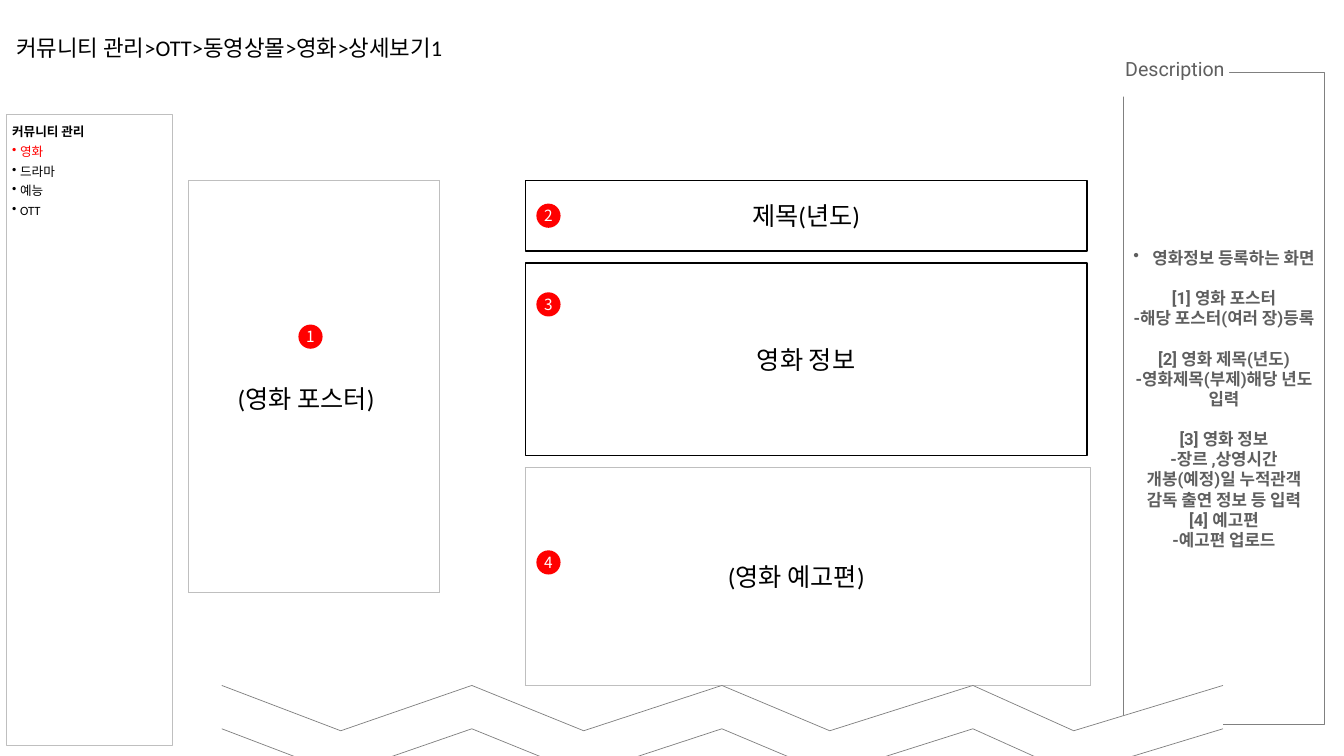
from dataclasses import dataclass
from lxml import etree
from pptx import Presentation
from pptx.dml.color import RGBColor
from pptx.enum import shapes, text
from pptx.oxml import ns
from pptx.util import Inches, Pt


@dataclass(frozen=True)
class Theme:
    black: str = "000000"
    white: str = "FFFFFF"
    red: str = "FF0000"
    pale: str = "BFBFBF"
    gray: str = "808080"
    ink: str = "5F5F5F"
    body: str = "Calibri"
    note: str = "Roboto"
    mark: str = "Noto Sans CJK KR"
    tiny: int = 9
    badge: int = 11
    small: int = 12
    label: int = 14
    head: int = 16
    large: int = 18


T = Theme()
LEFT, MID = text.PP_ALIGN.LEFT, text.PP_ALIGN.CENTER


def paint(shape, fill=None, line=None, width=0.5):
    """Set fill and outline; None leaves either one empty."""
    shape.shadow.inherit = False
    if fill:
        shape.fill.solid()
        shape.fill.fore_color.rgb = RGBColor.from_string(fill)
    else:
        shape.fill.background()
    if line:
        shape.line.color.rgb = RGBColor.from_string(line)
        shape.line.width = Pt(width)
    else:
        shape.line.fill.background()
    return shape


def write(para, words, size, font=T.body, color=T.black, bold=False, align=LEFT, dent=0):
    """Fill one paragraph; a positive dent gives it a hanging bullet."""
    para.text = words
    para.alignment = align
    if dent:
        props = para._p.get_or_add_pPr()
        props.set("marL", str(Inches(dent)))
        props.set("indent", str(-Inches(dent)))
        etree.SubElement(props, ns.qn("a:buChar")).set("char", "•")
    para.font.size, para.font.name, para.font.bold = Pt(size), font, bold
    para.font.color.rgb = RGBColor.from_string(color)


deck = Presentation()
deck.slide_width, deck.slide_height = Inches(13.33), Inches(7.5)
slide = deck.slides.add_slide(deck.slide_layouts[5])
draw = slide.shapes
RECT, OVAL = shapes.MSO_SHAPE.RECTANGLE, shapes.MSO_SHAPE.OVAL

# Title
title = draw.title
title.left, title.top, title.width, title.height = map(Inches, (0.06, 0.1, 11.5, 0.77))
title.text_frame.vertical_anchor = text.MSO_ANCHOR.MIDDLE
write(title.text_frame.paragraphs[0], "커뮤니티 관리>OTT>동영상몰>영화>상세보기1", T.head)
title.text_frame.paragraphs[0].line_spacing = 0.9

# Side menu
menu = paint(draw.add_shape(RECT, *map(Inches, (0.06, 1.14, 1.65, 6.26))), None, T.pale, 0.75)
frame = menu.text_frame
frame.word_wrap = False
frame.vertical_anchor = text.MSO_ANCHOR.TOP
frame.margin_left, frame.margin_right = Inches(0.06), 0
for i, item in enumerate(("커뮤니티 관리", "영화", "드라마", "예능", "OTT")):
    para = frame.add_paragraph() if i else frame.paragraphs[0]
    write(para, item, T.tiny, color=T.red if i == 1 else T.black, bold=i == 0,
          dent=0.08 if i else 0)
    para.line_spacing = Pt(14)

# Description panel
panel = paint(draw.add_shape(RECT, *map(Inches, (11.14, 0.72, 2, 6.47))), T.white, T.gray)
frame = panel.text_frame
frame.word_wrap = True
frame.vertical_anchor = text.MSO_ANCHOR.MIDDLE
groups = (
    ("영화정보 등록하는 화면",),
    ("[1] 영화 포스터", "-해당 포스터(여러 장)등록"),
    ("[2] 영화 제목(년도)", "-영화제목(부제)해당 년도 입력"),
    ("[3] 영화 정보", "-장르 ,상영시간", "개봉(예정)일 누적관객",
     "감독 출연 정보 등 입력", "[4] 예고편", "-예고편 업로드"),
)
for g, group in enumerate(groups):
    for i, words in enumerate(group):
        para = frame.add_paragraph() if g else frame.paragraphs[0]
        write(para, words, T.small, T.note, T.ink, True, MID, 0 if g else 0.19)
        if g and i == 0:
            para.space_before = Pt(14.4)

tag = paint(draw.add_shape(RECT, *map(Inches, (11.12, 0.55, 1.07, 0.41))), T.white)
frame = tag.text_frame
frame.word_wrap = False
frame.vertical_anchor = text.MSO_ANCHOR.TOP
frame.margin_left = frame.margin_right = Inches(0.04)
frame.margin_top = frame.margin_bottom = Inches(0.01)
write(frame.paragraphs[0], "Description", T.label, T.note, T.ink)

# Poster and trailer areas: one-cell tables with a caption on top
areas = (
    ((1.87, 1.79, 2.49, 4.09), (2.26, 3.75, 1.63, 0.4), "(영화 포스터)"),
    ((5.21, 4.64, 5.6, 2.16), (7.12, 5.52, 2.12, 0.4), "(영화 예고편)"),
)
for area, spot, words in areas:
    grid = draw.add_table(1, 1, *map(Inches, area)).table
    grid.first_row = grid.horz_banding = False
    cell = grid.cell(0, 0)
    cell.fill.background()
    props = cell._tc.get_or_add_tcPr()
    for i, side in enumerate(("lnL", "lnR", "lnT", "lnB")):
        edge = etree.Element(ns.qn("a:" + side), w=str(Pt(0.5)))
        solid = etree.SubElement(edge, ns.qn("a:solidFill"))
        etree.SubElement(solid, ns.qn("a:srgbClr")).set("val", T.pale)
        props.insert(i, edge)
    note = draw.add_textbox(*map(Inches, spot)).text_frame
    note.word_wrap = True
    write(note.paragraphs[0], words, T.large)

# Title and information boxes
for top, tall, words in ((1.79, 0.7, "제목(년도)"), (2.61, 1.91, "영화 정보")):
    box = paint(draw.add_shape(RECT, *map(Inches, (5.21, top, 5.57, tall))), T.white, T.black, 1)
    box.text_frame.vertical_anchor = text.MSO_ANCHOR.MIDDLE
    write(box.text_frame.paragraphs[0], words, T.large, align=MID)

# Numbered badges
for num, (left, top) in enumerate(((2.96, 3.22), (5.32, 2.02), (5.32, 2.9), (5.32, 5.46)), 1):
    dot = paint(draw.add_shape(OVAL, *map(Inches, (left, top, 0.24, 0.24))), T.red)
    frame = dot.text_frame
    frame.word_wrap = False
    frame.vertical_anchor = text.MSO_ANCHOR.MIDDLE
    frame.margin_left = frame.margin_right = frame.margin_top = frame.margin_bottom = 0
    write(frame.paragraphs[0], str(num), T.badge, T.mark, T.white, align=MID)

# Torn page edge: a white band, then its two zigzag lines
steps = (2.2, 3.38, 4.68, 5.79, 7.16, 8.23, 9.65, 10.65, 12.13)
upper, lower = (
    [(Inches(x), Inches(top + 0.45 * (i % 2))) for i, x in enumerate(steps)]
    for top in (6.8, 7.23)
)
band = draw.build_freeform(*upper[0])
band.add_line_segments(upper[1:] + lower[::-1], close=True)
paint(band.convert_to_shape(), T.white)
edges = draw.build_freeform(*upper[0])
edges.add_line_segments(upper[1:], close=False)
edges.move_to(*lower[0])
edges.add_line_segments(lower[1:], close=False)
paint(edges.convert_to_shape(), None, T.gray)

deck.save("out.pptx")
